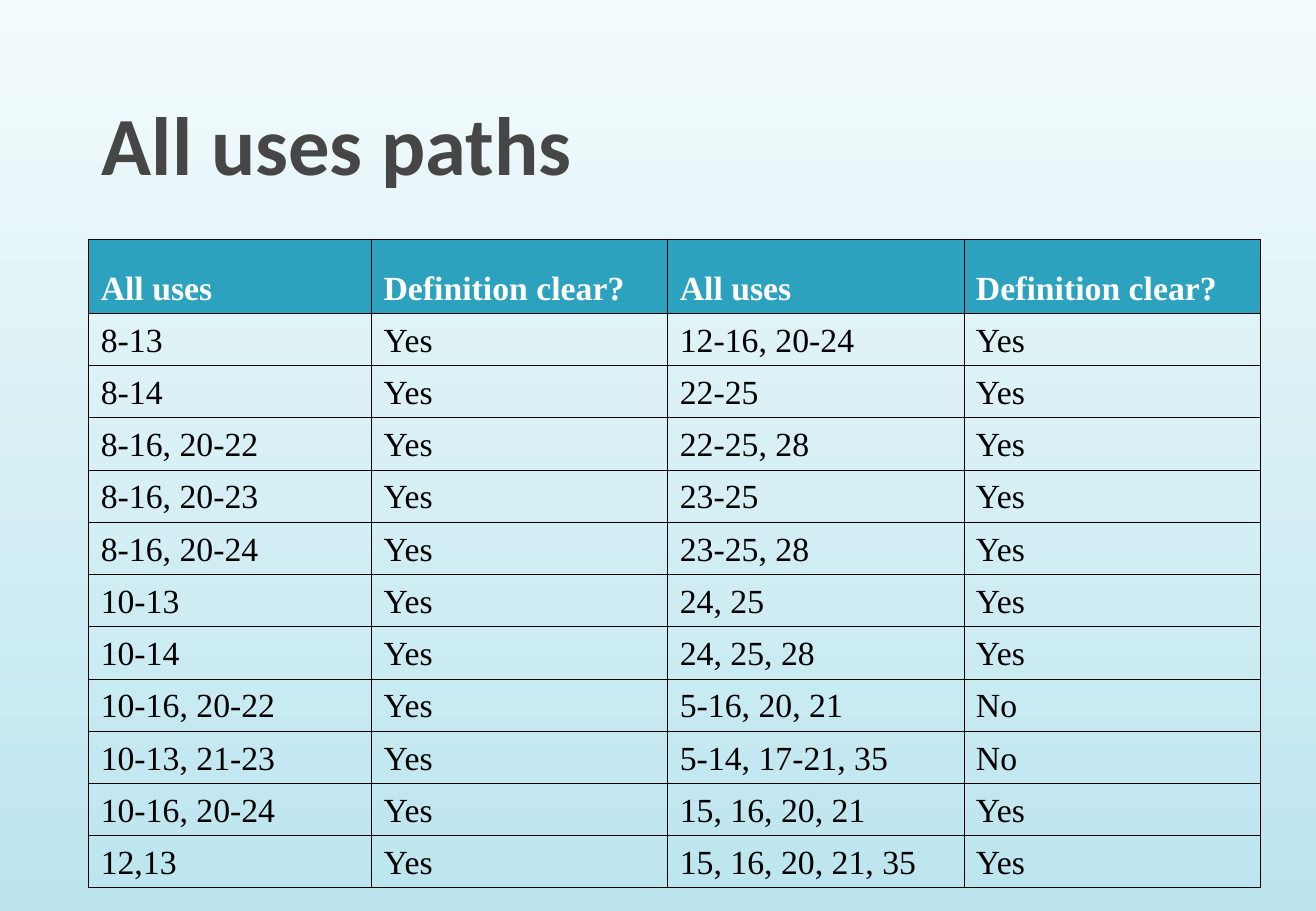
from lxml.etree import SubElement
from pptx import Presentation
from pptx.dml.color import RGBColor
from pptx.enum.text import MSO_ANCHOR, MSO_AUTO_SIZE, PP_ALIGN
from pptx.oxml.ns import qn
from pptx.util import Inches, Pt

SKY_TOP = RGBColor(0xF4, 0xFB, 0xFC)
SKY_BOTTOM = RGBColor(0xBC, 0xE5, 0xEF)
TITLE_GREY = RGBColor(0x46, 0x46, 0x46)
HEADER_TEAL = RGBColor(0x2D, 0xA2, 0xBF)
WHITE = RGBColor(0xFF, 0xFF, 0xFF)
BLACK = RGBColor(0x00, 0x00, 0x00)

PATHS = [
    ("All uses", "Definition clear?", "All uses", "Definition clear?"),
    ("8-13", "Yes", "12-16, 20-24", "Yes"),
    ("8-14", "Yes", "22-25", "Yes"),
    ("8-16, 20-22", "Yes", "22-25, 28", "Yes"),
    ("8-16, 20-23", "Yes", "23-25", "Yes"),
    ("8-16, 20-24", "Yes", "23-25, 28", "Yes"),
    ("10-13", "Yes", "24, 25", "Yes"),
    ("10-14", "Yes", "24, 25, 28", "Yes"),
    ("10-16, 20-22", "Yes", "5-16, 20, 21", "No"),
    ("10-13, 21-23", "Yes", "5-14, 17-21, 35", "No"),
    ("10-16, 20-24", "Yes", "15, 16, 20, 21", "Yes"),
    ("12,13", "Yes", "15, 16, 20, 21, 35", "Yes"),
]
COLUMN_WIDTHS = [2.33, 2.44, 2.44, 2.44]
ROW_HEIGHTS = [0.61] + [0.43] * (len(PATHS) - 1)


def format_text(paragraph, name, size, bold, color):
    font = paragraph.font
    for key, value in {"name": name, "size": Pt(size), "bold": bold}.items():
        setattr(font, key, value)
    font.color.rgb = color


def add_borders(cell):
    properties = cell._tc.get_or_add_tcPr()
    for side in ("lnL", "lnR", "lnT", "lnB"):
        line = SubElement(properties, qn(f"a:{side}"), w=str(Pt(0.45)))
        fill = SubElement(line, qn("a:solidFill"))
        SubElement(fill, qn("a:srgbClr"), val=str(BLACK))


prs = Presentation()
prs.slide_width = Inches(10.84)
prs.slide_height = Inches(7.5)
slide = prs.slides.add_slide(prs.slide_layouts[5])

# Background, light at the top
background = slide.background.fill
background.gradient()
background.gradient_angle = 270
for stop, color, position in zip(background.gradient_stops, (SKY_TOP, SKY_BOTTOM), (0, 1)):
    stop.color.rgb = color
    stop.position = position

# Title
title = slide.shapes.title
title.left, title.top = Inches(0.72), Inches(0.17)
title.width, title.height = Inches(9.66), Inches(1.47)
title_frame = title.text_frame
title_frame.text = "All uses paths"
title_format = {
    "auto_size": MSO_AUTO_SIZE.NONE,
    "word_wrap": True,
    "vertical_anchor": MSO_ANCHOR.BOTTOM,
    "margin_left": Inches(0.12),
    "margin_right": Inches(0.12),
    "margin_top": Inches(0.06),
    "margin_bottom": Inches(0.06),
}
for key, value in title_format.items():
    setattr(title_frame, key, value)
title_frame.paragraphs[0].alignment = PP_ALIGN.LEFT
format_text(title_frame.paragraphs[0], "Calibri", 49, True, TITLE_GREY)

# Table of paths
paths_table = slide.shapes.add_table(
    len(PATHS), len(COLUMN_WIDTHS), Inches(0.73), Inches(1.97),
    Inches(sum(COLUMN_WIDTHS)), Inches(sum(ROW_HEIGHTS))).table
paths_table.horz_banding = False
for column, width in zip(paths_table.columns, COLUMN_WIDTHS):
    column.width = Inches(width)
for row, height in zip(paths_table.rows, ROW_HEIGHTS):
    row.height = Inches(height)

cell_format = {
    "vertical_anchor": MSO_ANCHOR.BOTTOM,
    "margin_left": Inches(0.1),
    "margin_right": Inches(0.1),
    "margin_top": Inches(0.05),
    "margin_bottom": Inches(0.05),
}
for row_index, path_row in enumerate(PATHS):
    is_header = row_index == 0
    for column_index, entry in enumerate(path_row):
        cell = paths_table.cell(row_index, column_index)
        cell.text = entry
        for key, value in cell_format.items():
            setattr(cell, key, value)
        add_borders(cell)
        if is_header:
            cell.fill.solid()
            cell.fill.fore_color.rgb = HEADER_TEAL
        else:
            cell.fill.background()
        paragraph = cell.text_frame.paragraphs[0]
        # Hanging indent
        indent = paragraph._p.get_or_add_pPr()
        indent.set("marL", str(Inches(0.41)))
        indent.set("indent", str(-Inches(0.41)))
        format_text(paragraph, "Times New Roman", 20, is_header, WHITE if is_header else BLACK)

prs.save("out.pptx")
